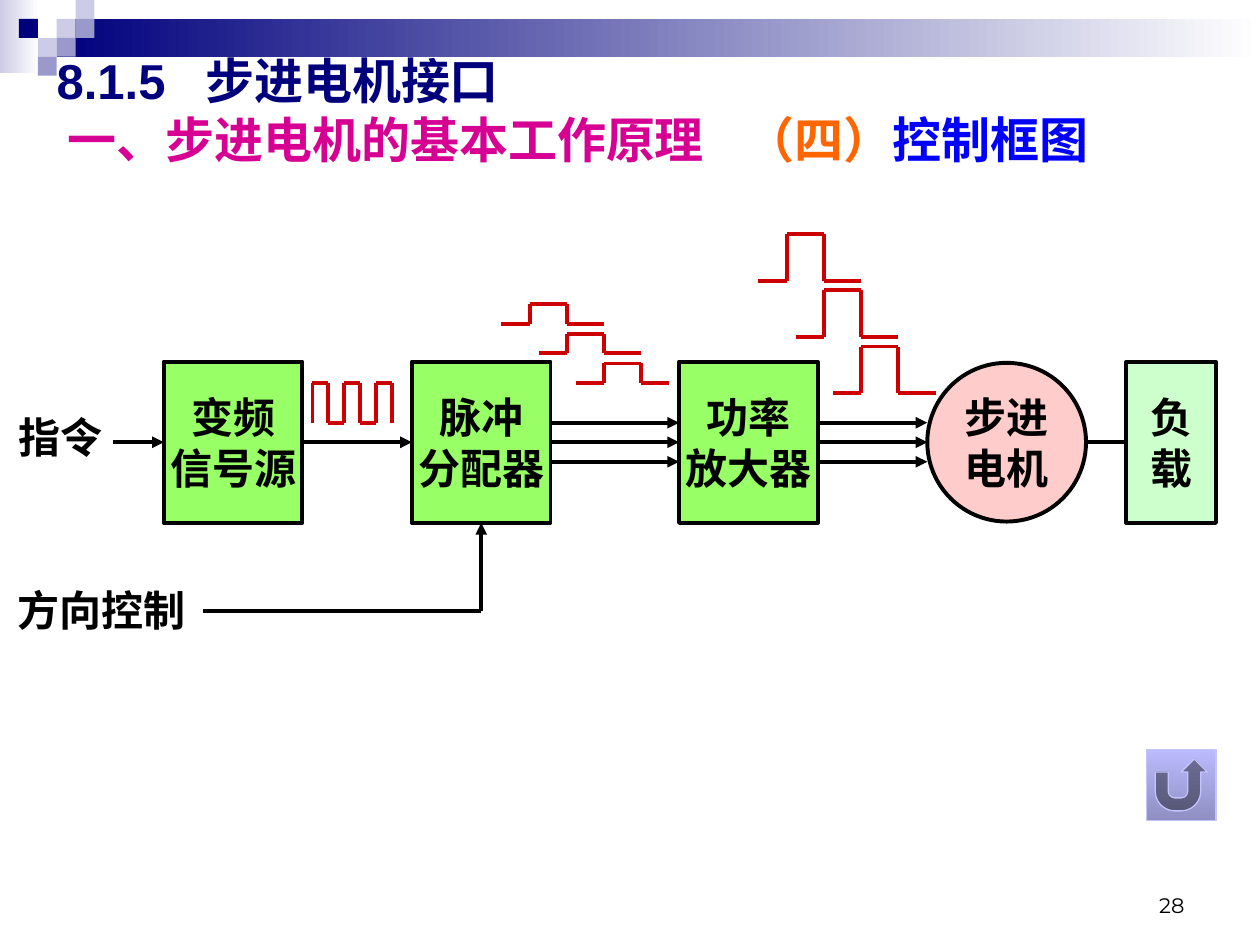
"""Build the stepper motor control block diagram slide."""
from lxml import etree
from pptx import Presentation
from pptx.dml.color import RGBColor
from pptx.enum.shapes import MSO_CONNECTOR, MSO_SHAPE as SHAPE
from pptx.enum.text import MSO_ANCHOR as ANCHOR, MSO_AUTO_SIZE as AUTO, PP_ALIGN as ALIGN
from pptx.oxml.ns import qn
from pptx.util import Inches, Pt

C = {"navy": "00007D", "lilac": "CCCCE6", "violet": "9999CC", "white": "FFFFFF",
     "black": "000000", "pink": "D60093", "orange": "FF6600", "blue": "0000FF",
     "green": "99FF66", "rose": "FFCCCC", "mint": "CCFFCC", "red": "CC0000",
     "dusk": "8F8FC3", "sky": "BBBBFF", "edge": "C4C4FB"}
C = {k: RGBColor.from_string(v) for k, v in C.items()}

prs = Presentation()
prs.slide_width, prs.slide_height = Inches(10), Inches(7.5)
COL, ROW = prs.slide_width / 100, prs.slide_height / 75
s = prs.slides.add_slide(prs.slide_layouts[5])


def area(x, y, w, h):
    return [round(v * unit) for v, unit in zip((x, y, w, h), (COL, ROW, COL, ROW))]


def link(shapes, start, end, color, arrow=False):
    ends = [round(v * unit) for v, unit in zip(start + end, (COL, ROW) * 2)]
    c = shapes.add_connector(MSO_CONNECTOR.STRAIGHT, *ends)
    c.line.color.rgb, c.line.width = C[color], Pt(2.25)
    if arrow:
        etree.SubElement(c.line._get_or_add_ln(), qn("a:tailEnd"), type="triangle")
    etree.SubElement(c._element.spPr, qn("a:effectLst"))
    return c


bands = [((0, 0, 3.1, 5.8), "lilac"), ((4.5, 1.5, 95.5, 3), "navy")]
for box, color in bands:
    sp = s.shapes.add_shape(SHAPE.RECTANGLE, *area(*box))
    sp.shadow.inherit = False
    sp.line.fill.background()
    sp.fill.gradient()
    sp.fill.gradient_angle = 0
    for stop, name in zip(sp.fill.gradient_stops, (color, "white")):
        stop.color.rgb = C[name]

tiles = [(3, 1, "lilac"), (4, 0, "lilac"), (4, 1, "violet"), (2, 2, "lilac"),
         (1, 1, "navy"), (3, 2, "violet"), (2, 3, "violet")]
for col, row, color in tiles:
    sp = s.shapes.add_shape(SHAPE.RECTANGLE, *area(1.5 * col, 1.5 * row, 1.5, 1.5))
    sp.shadow.inherit = False
    sp.line.fill.background()
    sp.fill.solid()
    sp.fill.fore_color.rgb = C[color]

sp = s.shapes.title
sp.left, sp.top, sp.width, sp.height = area(3.5, 3.6, 93.7, 10.2)
tf = sp.text_frame
tf.auto_size, tf.vertical_anchor, tf.word_wrap = AUTO.NONE, ANCHOR.MIDDLE, True
p = tf.paragraphs[0]
p.alignment = ALIGN.LEFT
tabs = etree.SubElement(p._p.get_or_add_pPr(), qn("a:tabLst"))
for stop in (11.8, 54.7):
    etree.SubElement(tabs, qn("a:tab"), pos=str(round(stop * COL)), algn="l")
p.text = "8.1.5\t步进电机接口\n"
for text, color in [(" 一、步进电机的基本工作原理\t", "pink"), ("（四）", "orange"),
                    ("控制框图", "blue")]:
    r = p.add_run()
    r.text = text
    r.font.color.rgb = C[color]
p.runs[0].font.color.rgb = C["navy"]
for r in p.runs:
    for key, value in {"size": Pt(28), "bold": True, "name": "Arial"}.items():
        setattr(r.font, key, value)

labels = [("指令", (0.5, 32.2, 10.2, 5), ALIGN.LEFT, Pt(24), True, "Times New Roman"),
          ("方向控制", (0.4, 45.9, 16.5, 5), ALIGN.LEFT, Pt(24), True, "Times New Roman"),
          ("28", (71.7, 68.3, 23.3, 5), ALIGN.RIGHT, Pt(12), False, "Montserrat")]
for text, box, align, size, bold, name in labels:
    tf = s.shapes.add_textbox(*area(*box)).text_frame
    tf.word_wrap = True
    tf.vertical_anchor = ANCHOR.BOTTOM if align == ALIGN.RIGHT else ANCHOR.TOP
    p = tf.paragraphs[0]
    p.alignment = align
    r = p.add_run()
    r.text = text
    r.font.color.rgb = C["black"]
    for key, value in {"size": size, "bold": bold, "name": name}.items():
        setattr(r.font, key, value)

AXIS = 35.1
blocks = [("变频\n信号源", SHAPE.RECTANGLE, 13, 11, 12.8, "green"),
          ("脉冲\n分配器", SHAPE.RECTANGLE, 32.7, 11, 12.8, "green"),
          ("功率\n放大器", SHAPE.RECTANGLE, 53.9, 11, 12.8, "green"),
          ("步进\n电机", SHAPE.OVAL, 73.6, 12.6, 12.6, "rose"),
          ("负\n载", SHAPE.RECTANGLE, 89.4, 7.1, 12.8, "mint")]
nodes = []
for text, kind, x, w, h, color in blocks:
    sp = s.shapes.add_shape(kind, *area(x, AXIS - h / 2, w, h))
    sp.shadow.inherit = False
    sp.fill.solid()
    sp.fill.fore_color.rgb = C[color]
    sp.line.color.rgb, sp.line.width = C["black"], Pt(2.25)
    tf = sp.text_frame
    tf.word_wrap, tf.vertical_anchor = False, ANCHOR.MIDDLE
    p = tf.paragraphs[0]
    p.text, p.alignment = text, ALIGN.CENTER
    for r in p.runs:
        r.font.color.rgb = C["black"]
        for key, value in {"size": Pt(24), "bold": True, "name": "Times New Roman"}.items():
            setattr(r.font, key, value)
    nodes.append(sp)
source, divider, amplifier, motor, load = nodes

flows = [(9, 13, None, source, True), (24, 32.7, source, divider, True),
         (43.7, 53.9, divider, amplifier, True), (64.9, 73.6, amplifier, None, True),
         (86.2, 89.4, None, load, False)]
for x1, x2, begin, end, arrow in flows:
    c = link(s.shapes, (x1, AXIS), (x2, AXIS), "black", arrow)
    if begin:
        c.begin_connect(begin, 3)
    if end:
        c.end_connect(end, 1)
for x1, x2 in [(43.7, 53.9), (64.9, 73.6)]:
    for y in (AXIS - 1.55, AXIS + 1.55):
        link(s.shapes, (x1, y), (x2, y), "black", True)

link(s.shapes, (16.1, 48.5), (38.2, 48.5), "black")
c = link(s.shapes, (38.2, 48.5), (38.2, 41.5), "black", True)
c.end_connect(divider, 2)

LOW, HIGH = 33.6, 30.4
train = []
for i in range(6):
    x = 24.8 + 1.26 * i
    train += [(x, HIGH if i % 2 else LOW), (x, LOW if i % 2 else HIGH)]
waves = [[train]]
for left, base, rise, drop, tails in [(39.8, 25.7, 1.55, 2.35, (2.95, 2.95, 2.2)),
                                      (60.2, 22.3, 3.7, 4.45, (2.95, 2.95, 2.95))]:
    phases = []
    for i, tail in enumerate(tails):
        x, y = left + 2.95 * i, base + drop * i
        up, down = x + 2.25, x + 5.2
        phases.append([(x, y), (up, y), (up, y - rise), (down, y - rise),
                       (down, y), (down + tail, y)])
    waves.append(phases)
for phases in waves:
    group = s.shapes.add_group_shape()
    for points in phases:
        for start, end in zip(points, points[1:]):
            link(group.shapes, start, end, "red")

sp = s.shapes.add_shape(SHAPE.ACTION_BUTTON_RETURN, *area(91, 59.5, 5.5, 5.6))
sp.shadow.inherit = False
sp.fill.gradient()
sp.fill.gradient_angle = 90
for stop, name in zip(sp.fill.gradient_stops, ("dusk", "sky")):
    stop.color.rgb = C[name]
sp.line.color.rgb, sp.line.width = C["edge"], Pt(0.75)

prs.save("out.pptx")
